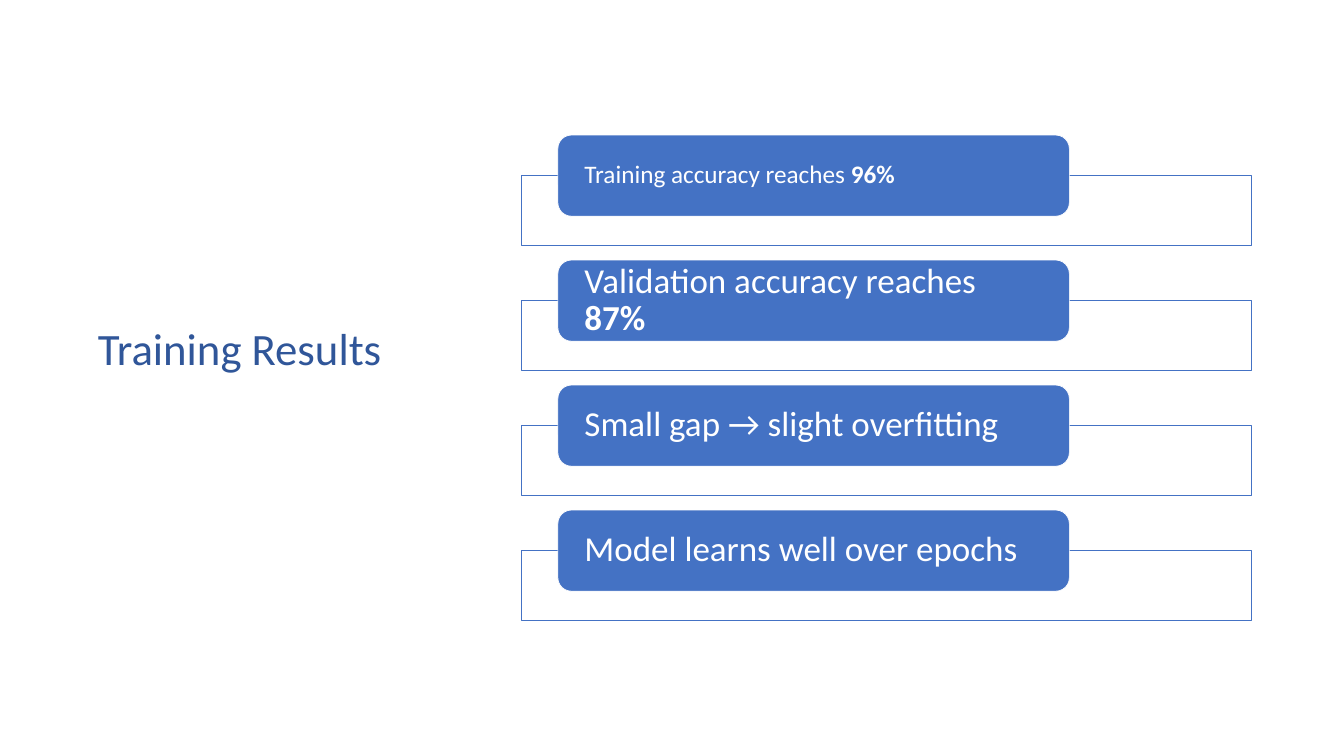
"""Build the training results slide: a title beside four result bars."""
from dataclasses import dataclass

from lxml import etree
from pptx import Presentation
from pptx import util as u
from pptx.dml.color import RGBColor
from pptx.enum import shapes, text
from pptx.oxml import ns


@dataclass(frozen=True)
class Theme:
    font: str = "Calibri"
    title_color: str = "305699"
    accent: str = "4472C4"
    light: str = "FFFFFF"
    title_size: int = 64
    small_size: int = 36
    label_size: int = 50
    line_width: int = 1


class SlideBuilder:
    def __init__(self, slide, theme, cell):
        self.slide, self.theme, self.cell = slide, theme, cell

    def place(self, column, row, columns, rows):
        return [round(self.cell * value) for value in (column, row, columns, rows)]

    def style_run(self, run, size, color, bold=False):
        run.font.name = self.theme.font
        run.font.size = u.Pt(size)
        run.font.bold = bold
        run.font.color.rgb = RGBColor.from_string(color)

    def title(self, wording, box):
        title = self.slide.shapes.title
        title.left, title.top, title.width, title.height = self.place(*box)
        frame = title.text_frame
        frame.text = wording
        frame.word_wrap = True
        frame.auto_size = text.MSO_AUTO_SIZE.NONE
        frame.vertical_anchor = text.MSO_ANCHOR.BOTTOM
        paragraph = frame.paragraphs[0]
        paragraph.alignment = text.PP_ALIGN.LEFT
        paragraph.line_spacing = 0.9
        self.style_run(paragraph.runs[0], self.theme.title_size, self.theme.title_color)

    def block(self, kind, box, fill, line):
        shape = self.slide.shapes.add_shape(kind, *self.place(*box))
        shape.shadow.inherit = False
        shape.fill.solid()
        shape.fill.fore_color.rgb = RGBColor.from_string(fill)
        shape.line.color.rgb = RGBColor.from_string(line)
        shape.line.width = u.Pt(self.theme.line_width)
        return shape

    def frame(self, box):
        shape = self.block(shapes.MSO_SHAPE.RECTANGLE, box, self.theme.light, self.theme.accent)
        color = shape.fill._xPr.find(ns.qn("a:solidFill"))[0]
        etree.SubElement(color, ns.qn("a:alpha"), val="90000")

    def label(self, wording, strong, size, box):
        shape = self.block(shapes.MSO_SHAPE.ROUNDED_RECTANGLE, box, self.theme.accent, self.theme.light)
        frame = shape.text_frame
        frame.word_wrap = True
        frame.vertical_anchor = text.MSO_ANCHOR.MIDDLE
        frame.margin_left = frame.margin_right = round(self.cell * 0.45)
        frame.margin_top = frame.margin_bottom = 0
        paragraph = frame.paragraphs[0]
        paragraph.text = wording
        paragraph.alignment = text.PP_ALIGN.LEFT
        paragraph.line_spacing = 0.9
        self.style_run(paragraph.runs[0], size, self.theme.light)
        if strong:
            run = paragraph.add_run()
            run.text = strong
            self.style_run(run, size, self.theme.light, bold=True)


def main():
    presentation = Presentation()
    presentation.slide_width, presentation.slide_height = u.Inches(26.67), u.Inches(15)
    slide = presentation.slides.add_slide(presentation.slide_layouts[5])
    theme = Theme()
    builder = SlideBuilder(slide, theme, cell=presentation.slide_height / 15)
    builder.title("Training Results", (1.84, 6.23, 8.6, 1.27))

    results = [
        ("Training accuracy reaches ", "96%", theme.small_size),
        ("Validation accuracy reaches ", "87%", theme.label_size),
        ("Small gap → slight overfitting", "", theme.label_size),
        ("Model learns well over epochs", "", theme.label_size),
    ]
    first_row, pitch, label_rows = 2.68, 2.48, 1.61
    for index, (wording, strong, size) in enumerate(results):
        row = first_row + index * pitch
        builder.frame((10.34, row + label_rows / 2, 14.5, 1.38))
        builder.label(wording, strong, size, (11.07, row, 10.15, label_rows))

    presentation.save("out.pptx")


if __name__ == "__main__":
    main()
